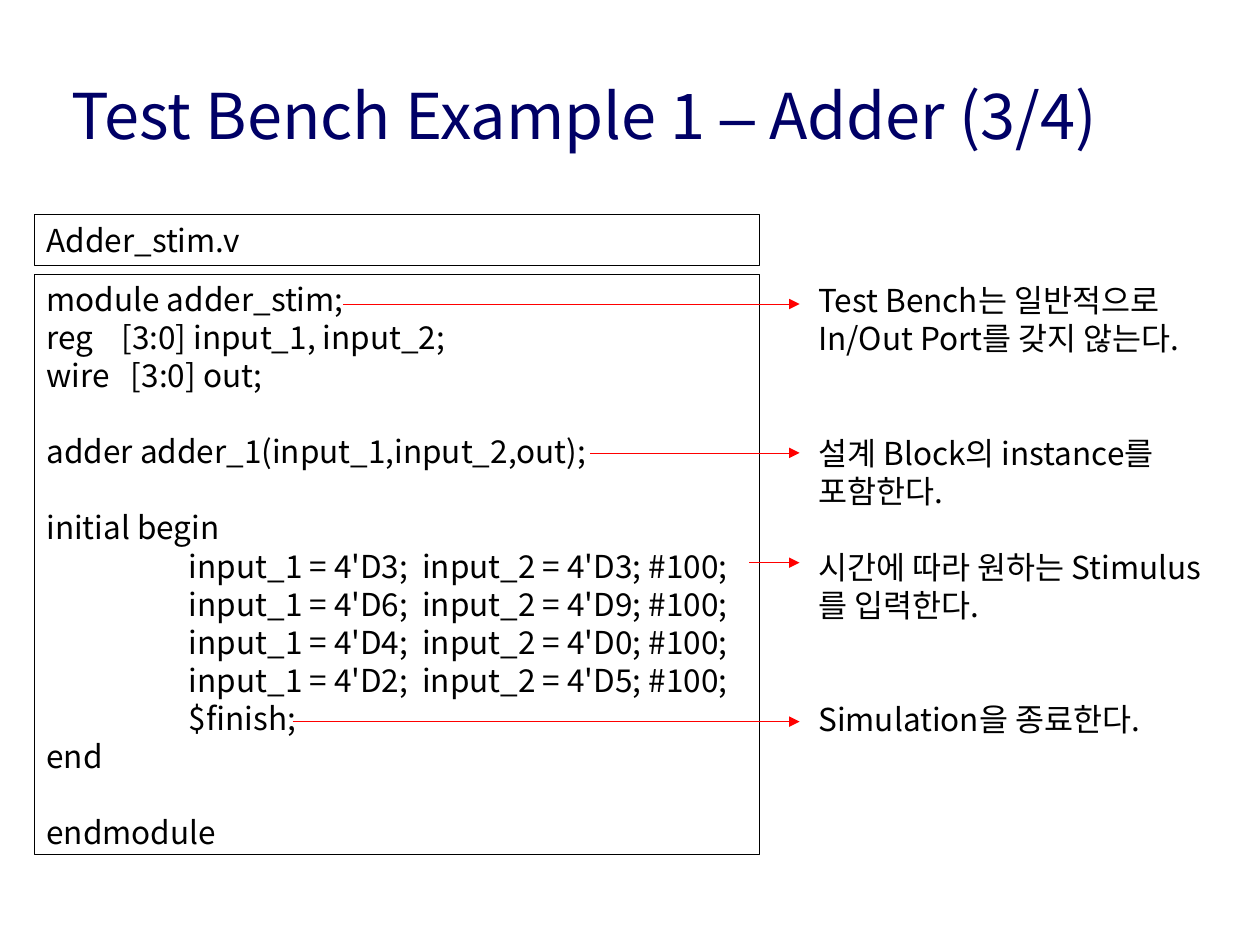
from lxml.etree import SubElement
from pptx import Presentation
from pptx.dml.color import RGBColor
from pptx.enum.shapes import MSO_CONNECTOR, MSO_SHAPE
from pptx.enum.text import MSO_ANCHOR, PP_ALIGN
from pptx.oxml.ns import qn
from pptx.util import Inches, Pt

FONT = "Noto Sans CJK KR"
LINE = 21.7  # line pitch in points
CODE_INDENT = 1.13
BLACK, NAVY, RED = "000000", "000066", "FF0000"

# (blank lines before, indent level, text)
CODE = [
    (0, 0, "module adder_stim;"),
    (0, 0, "reg    [3:0] input_1, input_2;"),
    (0, 0, "wire   [3:0] out;"),
    (1, 0, "adder adder_1(input_1,input_2,out);"),
    (1, 0, "initial begin"),
    (0, 1, "input_1 = 4'D3;  input_2 = 4'D3; #100;"),
    (0, 1, "input_1 = 4'D6;  input_2 = 4'D9; #100;"),
    (0, 1, "input_1 = 4'D4;  input_2 = 4'D0; #100;"),
    (0, 1, "input_1 = 4'D2;  input_2 = 4'D5; #100;"),
    (0, 1, "$finish;"),
    (0, 0, "end"),
    (1, 0, "endmodule"),
]
NOTES = [
    (0, 0, "Test Bench는 일반적으로 In/Out Port를 갖지 않는다."),
    (2, 0, "설계 Block의 instance를 포함한다."),
    (1, 0, "시간에 따라 원하는 Stimulus를 입력한다."),
    (2, 0, "Simulation을 종료한다."),
]
ARROW_END = 6.34
ARROW_STARTS = [(2.72, 2.41), (4.68, 3.59), (5.94, 4.46), (2.32, 5.72)]


def color(value):
    return RGBColor.from_string(value)


def add_run(p, text, size, fill, font=FONT):
    r = p.add_run()
    r.text = text
    r.font.size = Pt(size)
    r.font.color.rgb = color(fill)
    r.font.name = font
    SubElement(r._r.get_or_add_rPr(), qn("a:ea")).set("typeface", font)


def add_lines(sp, lines):
    tf = sp.text_frame
    tf.word_wrap = True
    tf.vertical_anchor = MSO_ANCHOR.TOP
    for i, (gap, level, text) in enumerate(lines):
        p = tf.add_paragraph() if i else tf.paragraphs[0]
        p.alignment = PP_ALIGN.LEFT
        p.line_spacing = Pt(LINE)
        p.space_before = Pt(gap * LINE)
        if level:
            p._p.get_or_add_pPr().set("marL", str(Inches(level * CODE_INDENT)))
        add_run(p, text, 18, BLACK)


def add_title(s, box):
    tf = s.shapes.add_textbox(*map(Inches, box)).text_frame
    tf.word_wrap = True
    tf.vertical_anchor = MSO_ANCHOR.MIDDLE
    p = tf.paragraphs[0]
    add_run(p, "Test Bench Example 1 ", 36, NAVY)
    add_run(p, "–", 36, NAVY, "Arial")
    add_run(p, " Adder (3/4)", 36, NAVY)


def add_frame(s, box, lines):
    sp = s.shapes.add_shape(MSO_SHAPE.RECTANGLE, *map(Inches, box))
    sp.shadow.inherit = False
    sp.fill.background()
    sp.line.color.rgb = color(BLACK)
    sp.line.width = Pt(0.25)
    add_lines(sp, lines)


def add_listing(s, box):
    """File name strip above the code frame."""
    left, top, width, height = box
    strip, gap = 0.4, 0.07
    code_top = strip + gap
    add_frame(s, (left, top, width, strip), [(0, 0, "Adder_stim.v")])
    add_frame(s, (left, top + code_top, width, height - code_top), CODE)


def add_notes(s, box):
    add_lines(s.shapes.add_textbox(*map(Inches, box)), NOTES)


def add_arrow(s, x, y):
    c = s.shapes.add_connector(
        MSO_CONNECTOR.STRAIGHT, *map(Inches, (x, y, ARROW_END, y)))
    c.line.color.rgb = color(RED)
    c.line.width = Pt(0.25)
    SubElement(c.line._get_or_add_ln(), qn("a:tailEnd")).set("type", "triangle")
    SubElement(c._element.spPr, qn("a:effectLst"))


def main():
    prs = Presentation()
    prs.slide_width, prs.slide_height = Inches(9.99), Inches(7.49)
    s = prs.slides.add_slide(prs.slide_layouts[6])
    add_title(s, (0.47, 0.48, 8.94, 0.86))
    add_listing(s, (0.27, 1.7, 5.75, 5.07))
    add_notes(s, (6.39, 2.18, 3.41, 3.7))
    for x, y in ARROW_STARTS:
        add_arrow(s, x, y)
    prs.save("out.pptx")


if __name__ == "__main__":
    main()
